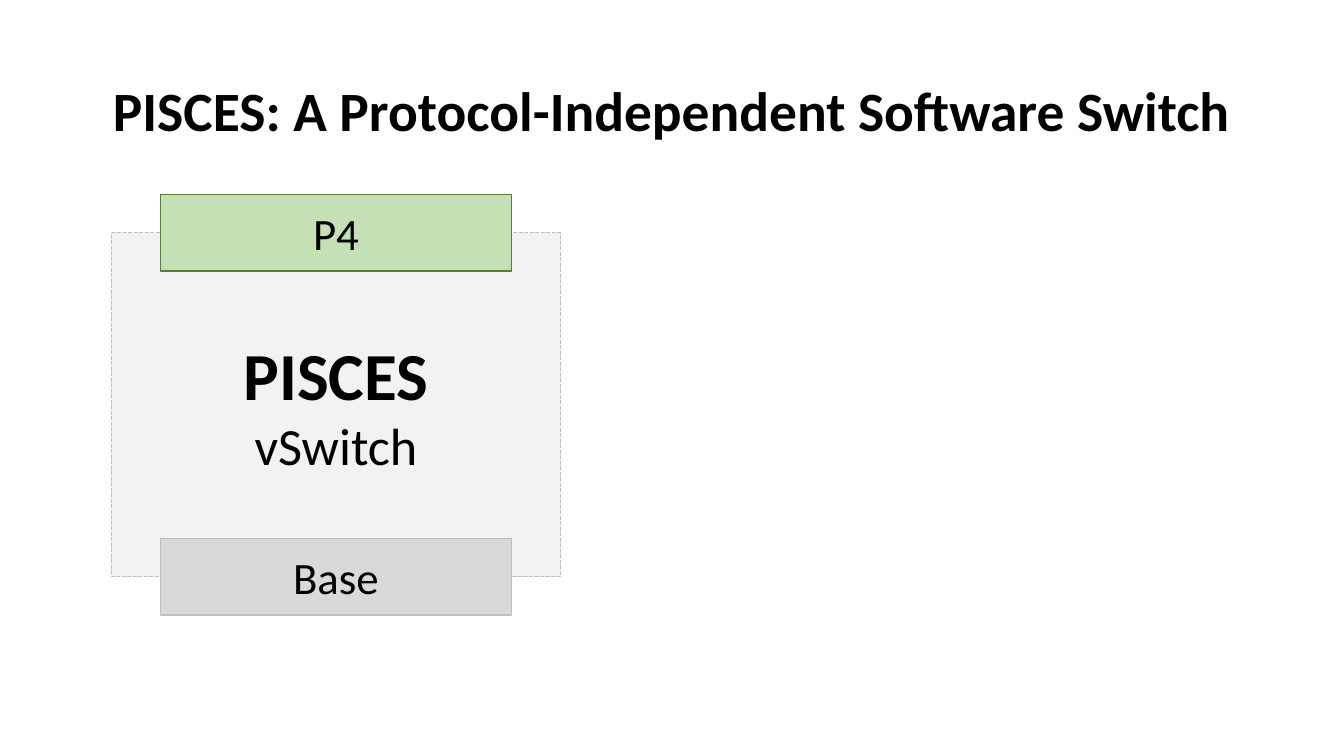
from pptx import Presentation
from pptx import util as u
from pptx.dml.color import RGBColor
from pptx.enum import dml, shapes, text

BOX = (2.11, 4.4, 8.48, 6.5)
BAR_W, BAR_H = 6.63, 1.45


def color(fmt, code):
    fmt.rgb = RGBColor.from_string(code)


def place(shape, left, top, width, height):
    shape.left, shape.top = u.Cm(left), u.Cm(top)
    shape.width, shape.height = u.Cm(width), u.Cm(height)


def write(para, words, size=24, bold=False, space=1.0):
    para.alignment = text.PP_ALIGN.CENTER
    para.line_spacing = space
    run = para.add_run()
    run.text = words
    font = run.font
    font.name, font.size, font.bold = "Calibri", u.Pt(size), bold
    color(font.color, "000000")


def panel(slide, area, fill, line, rows, dash=None):
    shape = slide.shapes.add_shape(
        shapes.MSO_SHAPE.ROUNDED_RECTANGLE, *map(u.Cm, area))
    shape.adjustments[0] = 0
    shape.shadow.inherit = False
    shape.fill.solid()
    color(shape.fill.fore_color, fill)
    color(shape.line.color, line)
    shape.line.width = u.Pt(0.75)
    if dash:
        shape.line.dash_style = dash
    frame = shape.text_frame
    frame.word_wrap = True
    frame.vertical_anchor = text.MSO_ANCHOR.MIDDLE
    for i, (words, style) in enumerate(rows):
        para = frame.add_paragraph() if i else frame.paragraphs[0]
        write(para, words, **style)


def bar(slide, words, edge, fill, line):
    left = BOX[0] + (BOX[2] - BAR_W) / 2
    area = (left, edge - BAR_H / 2, BAR_W, BAR_H)
    panel(slide, area, fill, line, [(words, {})])


def heading(slide, words):
    title = slide.shapes.title
    place(title, 1.75, 0.76, 21.9, 2.77)
    frame = title.text_frame
    frame.word_wrap = True
    frame.auto_size = text.MSO_AUTO_SIZE.NONE
    frame.vertical_anchor = text.MSO_ANCHOR.MIDDLE
    write(frame.paragraphs[0], words, size=29.7, bold=True, space=0.9)


def main():
    deck = Presentation()
    deck.slide_width, deck.slide_height = u.Cm(25.4), u.Cm(14.29)
    slide = deck.slides.add_slide(deck.slide_layouts[5])
    heading(slide, "PISCES: A Protocol-Independent Software Switch")
    rows = [("PISCES", {"size": 36, "bold": True}),
            ("vSwitch", {"size": 28})]
    panel(slide, BOX, "F2F2F2", "BFBFBF", rows,
          dash=dml.MSO_LINE.SQUARE_DOT)
    bar(slide, "P4", BOX[1], "C5E0B4", "548235")
    bar(slide, "Base", BOX[1] + BOX[3], "D9D9D9", "BFBFBF")
    deck.save("out.pptx")


main()
